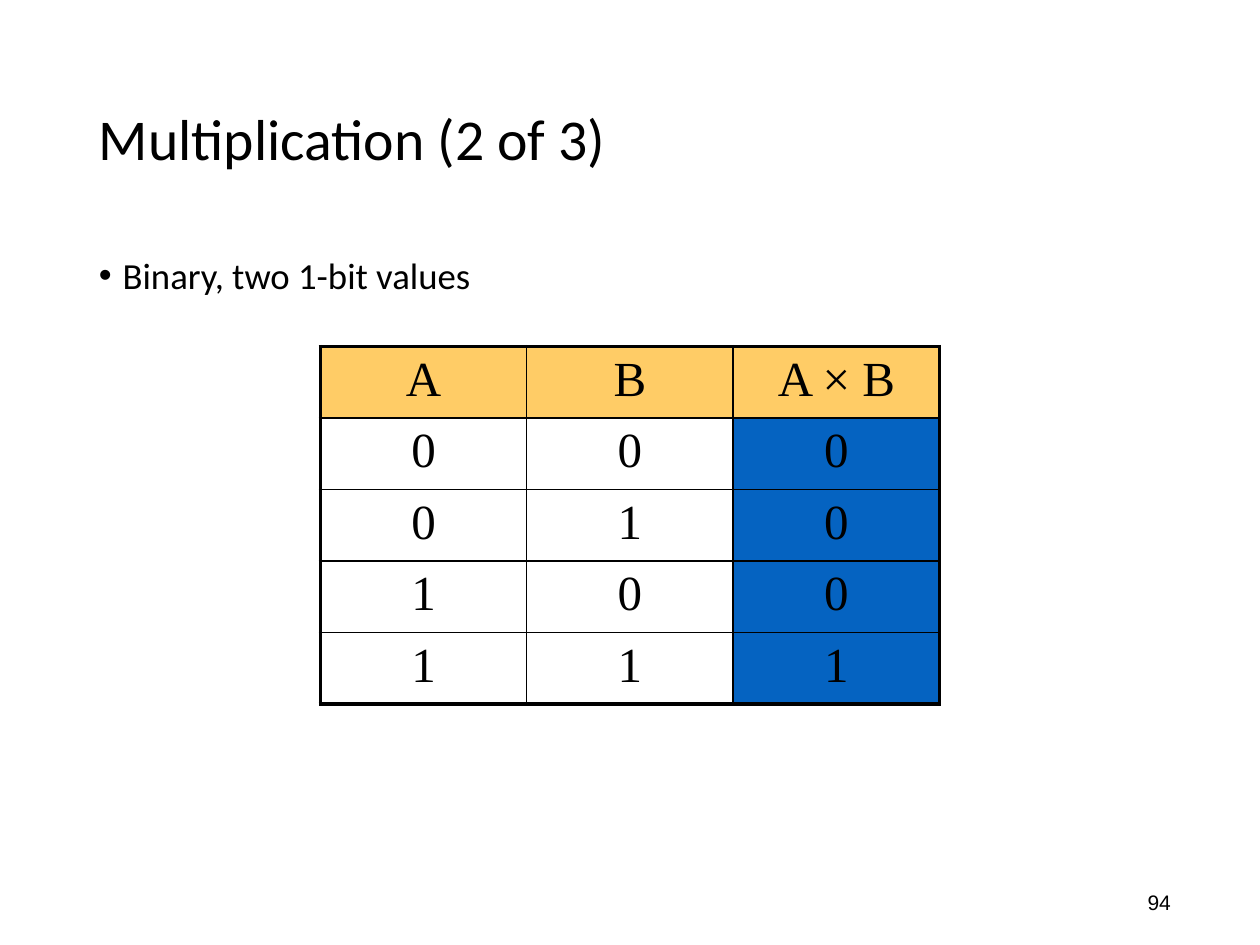
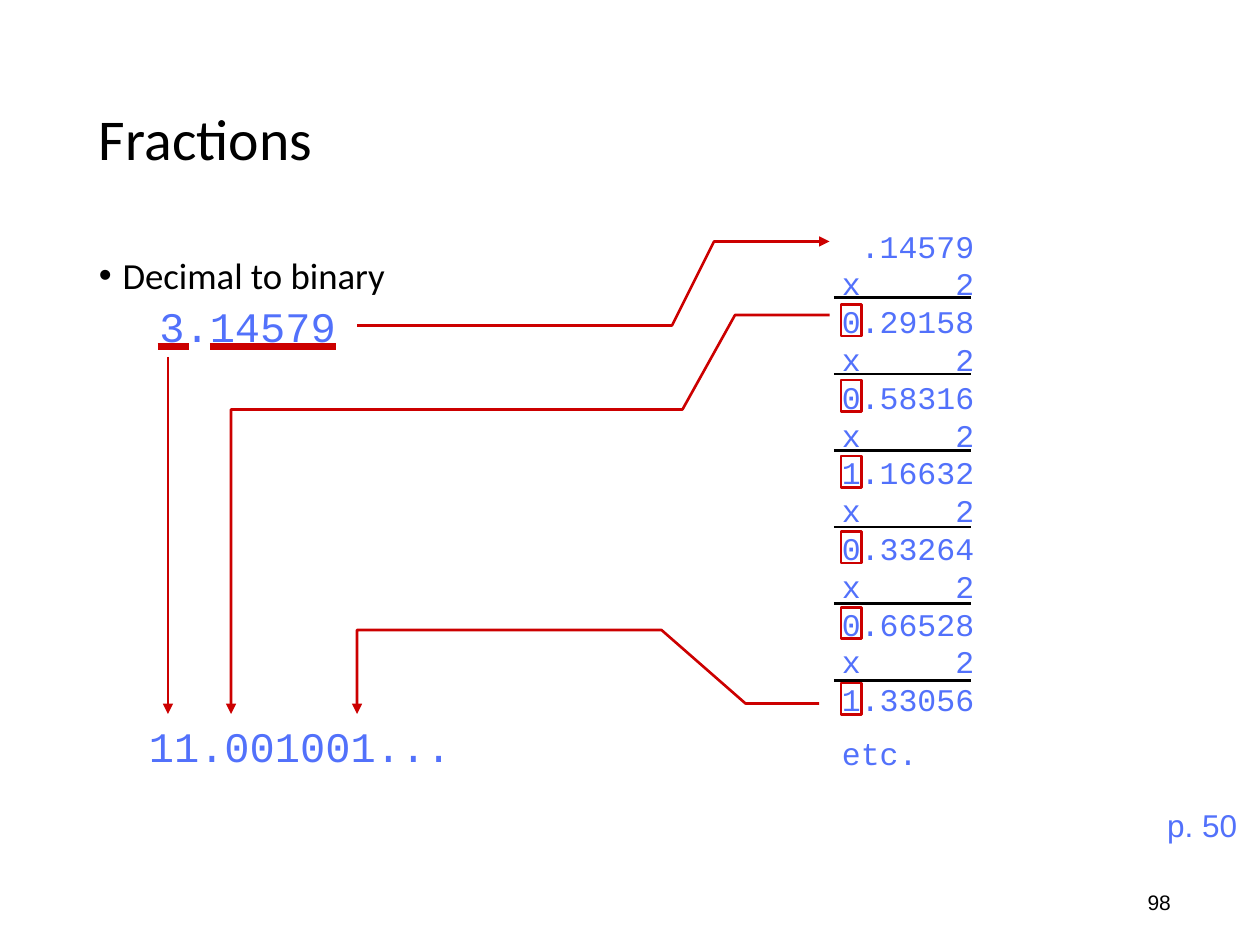
from pptx import Presentation
from pptx.dml.color import RGBColor
from pptx.enum import shapes, text
from pptx.oxml import ns, xmlchemy
from pptx.util import Pt

BLACK = RGBColor(0x00, 0x00, 0x00)
RED = RGBColor(0xCC, 0x00, 0x00)
BLUE = RGBColor(0x52, 0x71, 0xFB)
GOLD = RGBColor(0xFF, 0xCC, 0x66)
NAVY = RGBColor(0x05, 0x63, 0xC1)
MONO = "Courier New"
THIN, THICK = 1, 2.25


def child(parent, tag, **attrs):
    """Append an XML element with attributes and return it."""
    node = xmlchemy.OxmlElement(tag)
    for key, value in attrs.items():
        node.set(key, str(value))
    parent.append(node)
    return node


class Deck:
    """Holds the shared style and the current slide."""

    def __init__(self):
        self.prs = Presentation()
        self.prs.slide_width, self.prs.slide_height = Pt(720), Pt(540)

    def page(self, title, point, number):
        """Start a slide with its title, bullet and number."""
        self.slide = self.prs.slides.add_slide(self.prs.slide_layouts[6])
        self.label(number, 648.7, 504.7, 28.8, 21.6, 12, "Arial", BLACK, wrap=False)
        head = self.label(title, 49.5, 28.75, 621, 104.4, 33, "Calibri", BLACK)
        head.vertical_anchor = text.MSO_ANCHOR.MIDDLE
        body = self.label(point, 49.5, 143.75, 621, 342.6, 21, "Calibri", BLACK)
        props = body.paragraphs[0]._p.get_or_add_pPr()
        props.set("marL", str(Pt(13.5)))
        props.set("indent", str(Pt(-13.5)))
        child(props, "a:buFont", typeface="Arial")
        child(props, "a:buChar", char="•")
        for frame in (head, body):
            frame.paragraphs[0].line_spacing = 0.9

    def label(self, words, x, y, w, h, size, font, color, wrap=True, tab=None):
        """Add a text box, one paragraph for each line of words."""
        box = self.slide.shapes.add_textbox(Pt(x), Pt(y), Pt(w), Pt(h))
        frame = box.text_frame
        frame.word_wrap = wrap
        frame.text = words
        for para in frame.paragraphs:
            if tab:
                tabs = child(para._p.get_or_add_pPr(), "a:tabLst")
                child(tabs, "a:tab", pos=Pt(tab), algn="r")
            if font == MONO:
                para.line_spacing = Pt(1.2 * size)
            self.style(para, size, font, color)
        return frame

    def style(self, para, size, font, color):
        """Format the runs of a paragraph."""
        for run in para.runs:
            run.font.size, run.font.name = Pt(size), font
            run.font.color.rgb = color

    def mono(self, words, x, y, w, h, size, tab=None):
        """Add blue typewriter text."""
        return self.label(words, x, y, w, h, size, MONO, BLUE, tab=tab)

    def stroke(self, item, color, width, arrow):
        """Set the outline of a line or shape."""
        item.line.color.rgb = color
        item.line.width = Pt(width)
        if arrow:
            child(item.line._get_or_add_ln(), "a:tailEnd", type="triangle")

    def rule(self, x1, y1, x2, y2, color, width=1.5, arrow=False):
        """Add a straight line."""
        line = self.slide.shapes.add_connector(
            shapes.MSO_CONNECTOR.STRAIGHT, Pt(x1), Pt(y1), Pt(x2), Pt(y2))
        self.stroke(line, color, width, arrow)
        child(line._element.spPr, "a:effectLst")

    def bend(self, *points):
        """Add a red arrow that follows the points."""
        pen = self.slide.shapes.build_freeform(*points[0], scale=Pt(1))
        pen.add_line_segments(points[1:], close=False)
        self.hollow(pen.convert_to_shape(), arrow=True)

    def frame(self, x, y, w, h):
        """Add a red box without fill."""
        self.hollow(self.slide.shapes.add_shape(
            shapes.MSO_SHAPE.RECTANGLE, Pt(x), Pt(y), Pt(w), Pt(h)))

    def hollow(self, item, arrow=False):
        """Give a shape a red outline only."""
        item.shadow.inherit = False
        item.fill.background()
        self.stroke(item, RED, 1.5, arrow)

    def border(self, cell, widths):
        """Draw the four cell borders: left, right, top, bottom."""
        props = cell._tc.get_or_add_tcPr()
        for side, width in zip("LRTB", widths):
            line = child(props, f"a:ln{side}", w=Pt(width))
            child(child(line, "a:solidFill"), "a:srgbClr", val=BLACK)

    def table(self, rows, x, y, wide, high):
        """Add a table with a gold head and a blue last column."""
        down, across = len(rows), len(rows[0])
        grid = self.slide.shapes.add_table(
            down, across, Pt(x), Pt(y), Pt(wide * across), Pt(high * down)).table
        grid.first_row = grid.horz_banding = False
        for r, row in enumerate(rows):
            for c, word in enumerate(row):
                cell = grid.cell(r, c)
                edges = (c == 0, c == across - 1, r == 0, r == down - 1)
                self.border(cell, [THICK if edge else THIN for edge in edges])
                if r == 0 or c == across - 1:
                    cell.fill.solid()
                    cell.fill.fore_color.rgb = NAVY if r else GOLD
                else:
                    cell.fill.background()
                para = cell.text_frame.paragraphs[0]
                para.text = word
                para.alignment = text.PP_ALIGN.CENTER
                self.style(para, 28, "Times New Roman", BLACK)


def product(deck):
    """Build the multiplication slide."""
    deck.page("Multiplication (2 of 3)", "Binary, two 1-bit values", "94")
    rows = [("A", "B", "A × B")]
    rows += [(str(a), str(b), str(a * b)) for a in (0, 1) for b in (0, 1)]
    deck.table(rows, 183, 198, 118, 31.75)


def fraction(deck):
    """Build the fractions slide."""
    deck.page("Fractions", "Decimal to binary", "98")
    note = deck.label("p. 50", 630, 457, 84, 29, 18, "Arial", BLUE)
    note.paragraphs[0].alignment = text.PP_ALIGN.RIGHT

    deck.mono("3.14579", 84, 168, 117, 36, 24)
    steps = ["\t.14579", "0.29158", "0.58316", "1.16632",
             "0.33264", "0.66528", "1.33056"]
    sums = "\vx\t2\v".join(steps) + "\netc."
    work = deck.mono(sums, 474, 126, 117, 321, 18, tab=75.6)
    work.paragraphs[1].space_before = Pt(9)

    for i in range(6):
        deck.rule(476.5, 170 + 43.75 * i, 555, 170 + 43.75 * i, BLACK)
    for left, right in ((120, 192), (90, 108)):
        deck.rule(left, 198, right, 198, RED, 4.5)
    deck.bend((204, 186), (384, 186), (408, 138), (474, 138))
    deck.mono("11.001001...", 78, 408, 210, 36, 24)
    deck.rule(96, 204, 96, 408, RED, arrow=True)
    deck.bend((474, 180), (420, 180), (390, 234), (132, 234), (132, 408))
    for i in range(6):
        deck.frame(480.5, 174 + 43.25 * i, 12, 18)
    deck.bend((468, 402), (425.5, 402), (378, 360), (204, 360), (204, 408))


def main():
    """Build and save both slides."""
    deck = Deck()
    product(deck)
    fraction(deck)
    deck.prs.save("out.pptx")


if __name__ == "__main__":
    main()
